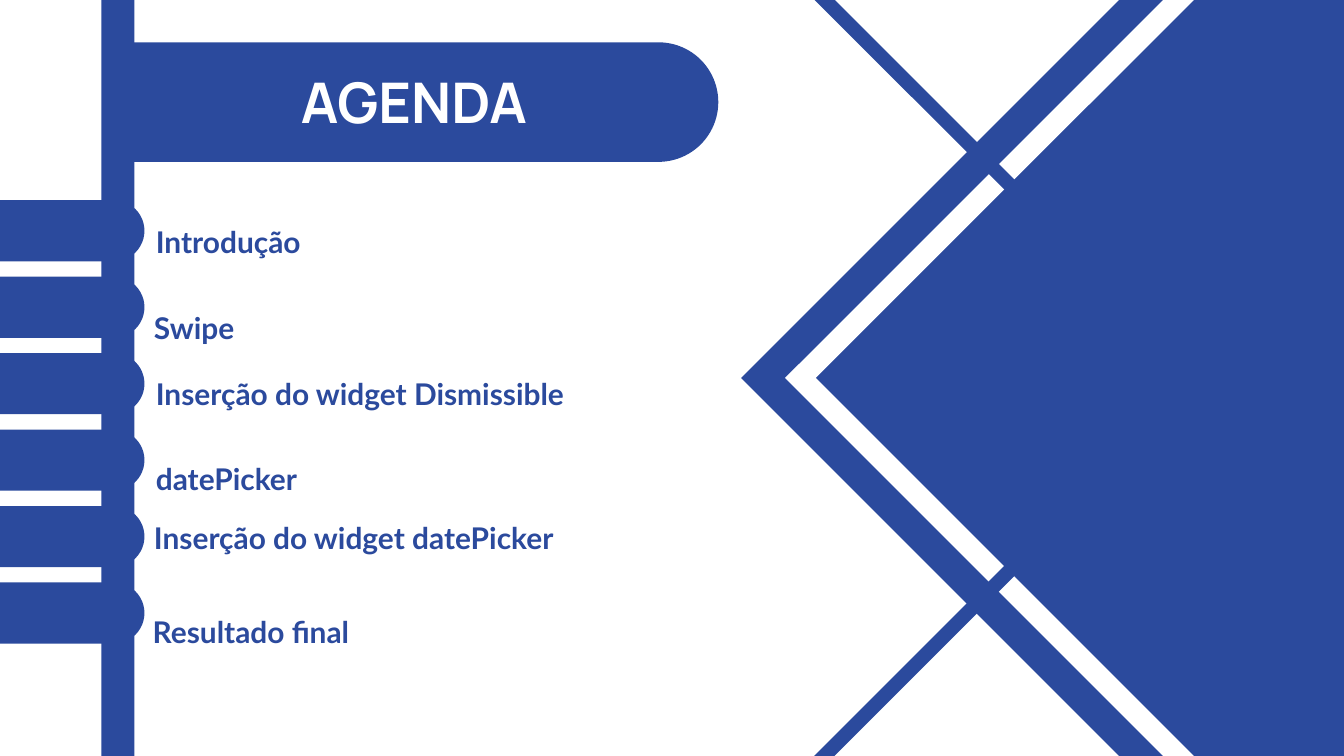
from dataclasses import dataclass

from lxml.etree import SubElement
from pptx import Presentation
from pptx.dml.color import RGBColor
from pptx.enum.shapes import MSO_SHAPE
from pptx.enum.text import MSO_ANCHOR, MSO_AUTO_SIZE, PP_ALIGN
from pptx.oxml.ns import qn
from pptx.shapes.autoshape import Shape
from pptx.slide import Slide
from pptx.text.text import TextFrame
from pptx.util import Cm, Pt


@dataclass(frozen=True)
class Theme:
    blue: RGBColor = RGBColor(0x2B, 0x4A, 0x9D)
    white: RGBColor = RGBColor(0xFF, 0xFF, 0xFF)
    title_font: str = "Manrope"
    body_font: str = "Lato"
    title_size: int = 60
    body_size: int = 32
    title_spacing: float = 1.05
    body_spacing: float = 1.4
    body_font_height: float = 1.2


@dataclass(frozen=True)
class Square:
    kind: MSO_SHAPE
    center_x: float
    center_y: float
    side: float
    color: RGBColor


@dataclass(frozen=True)
class Tab:
    left: float
    top: float
    length: float
    height: float


@dataclass(frozen=True)
class AgendaItem:
    text: str
    left: float
    top: float


THEME = Theme()
FRAME_THICKNESS = 0.0315
TAB_PITCH = 2.89
BODY_LEFT = 5.77

SQUARES = [
    Square(MSO_SHAPE.RECTANGLE, 48, 14.29, 28.27, THEME.blue),
    Square(MSO_SHAPE.FRAME, 48.12, 14.29, 26.09, THEME.white),
    Square(MSO_SHAPE.FRAME, 40.56, 30.9, 17.12, THEME.blue),
    Square(MSO_SHAPE.FRAME, 40.56, -2.34, 17.12, THEME.blue),
]

AGENDA = [
    AgendaItem("Introdução", 5.89, 7.9),
    AgendaItem("Swipe", 5.82, 11.18),
    AgendaItem("Inserção do widget Dismissible", 5.89, 13.67),
    AgendaItem("datePicker", 5.89, 16.87),
    AgendaItem("Inserção do widget datePicker", 5.82, 19.1),
    AgendaItem("Resultado final", 5.77, 22.66),
]


def add_block(slide: Slide, kind: MSO_SHAPE, left: float, top: float,
              width: float, height: float, color: RGBColor) -> Shape:
    shape = slide.shapes.add_shape(kind, Cm(left), Cm(top), Cm(width), Cm(height))
    shape.shadow.inherit = False
    shape.fill.solid()
    shape.fill.fore_color.rgb = color
    shape.line.fill.background()
    return shape


def add_square(slide: Slide, square: Square) -> None:
    half = square.side / 2
    shape = add_block(slide, square.kind, square.center_x - half,
                      square.center_y - half, square.side, square.side, square.color)
    shape.rotation = 45
    if square.kind == MSO_SHAPE.FRAME:
        shape.adjustments[0] = FRAME_THICKNESS


def add_tab(slide: Slide, tab: Tab) -> None:
    offset = (tab.length - tab.height) / 2
    shape = add_block(slide, MSO_SHAPE.ROUND_2_SAME_RECTANGLE, tab.left + offset,
                      tab.top - offset, tab.height, tab.length, THEME.blue)
    shape.rotation = 90
    shape.adjustments[0] = 0.5


def place_text(slide: Slide, shape: Shape, left: float, top: float,
               width: float, height: float) -> TextFrame:
    shape.left, shape.top = Cm(left), Cm(top)
    shape.width, shape.height = Cm(width), Cm(height)
    slide.shapes._spTree.append(shape._element)
    frame = shape.text_frame
    frame.margin_left = frame.margin_right = 0
    frame.margin_top = frame.margin_bottom = 0
    frame.vertical_anchor = MSO_ANCHOR.TOP
    frame.auto_size = MSO_AUTO_SIZE.NONE
    frame.word_wrap = True
    return frame


def fill_title(slide: Slide) -> None:
    frame = place_text(slide, slide.shapes.title, 5.89, 2.44, 19.51, 2.49)
    frame.text = "AGENDA"
    paragraph = frame.paragraphs[0]
    paragraph.alignment = PP_ALIGN.CENTER
    paragraph.line_spacing = THEME.title_spacing
    font = paragraph.runs[0].font
    font.name, font.size, font.bold = THEME.title_font, Pt(THEME.title_size), True
    font.color.rgb = THEME.white


def fill_agenda(slide: Slide, items: list[AgendaItem]) -> None:
    frame = place_text(slide, slide.placeholders[1], BODY_LEFT, items[0].top, 22.56, 16.7)
    frame.text = "\n".join(item.text for item in items)
    line_height = Pt(THEME.body_size * THEME.body_spacing * THEME.body_font_height)
    previous_top = None
    for item, paragraph in zip(items, frame.paragraphs):
        properties = paragraph._p.get_or_add_pPr()
        properties.set("marL", str(Cm(item.left - BODY_LEFT)))
        properties.set("indent", "0")
        SubElement(properties, qn("a:buNone"))
        paragraph.alignment = PP_ALIGN.LEFT
        paragraph.line_spacing = THEME.body_spacing
        paragraph.space_after = Pt(0)
        paragraph.space_before = (
            Pt(0) if previous_top is None else Cm(item.top - previous_top) - line_height
        )
        previous_top = item.top
        font = paragraph.runs[0].font
        font.name, font.size, font.bold = THEME.body_font, Pt(THEME.body_size), True
        font.color.rgb = THEME.blue


def main() -> None:
    presentation = Presentation()
    presentation.slide_width, presentation.slide_height = Cm(50.8), Cm(28.58)
    slide = presentation.slides.add_slide(presentation.slide_layouts[1])

    add_block(slide, MSO_SHAPE.RECTANGLE, 3.83, 0, 1.25, 28.58, THEME.blue)
    for square in SQUARES:
        add_square(slide, square)
    add_tab(slide, Tab(5.05, 1.6, 22.1, 4.52))
    for index in range(len(AGENDA)):
        add_tab(slide, Tab(0, 7.57 + index * TAB_PITCH, 5.46, 2.31))
    fill_title(slide)
    fill_agenda(slide, AGENDA)

    presentation.save("out.pptx")


if __name__ == "__main__":
    main()
